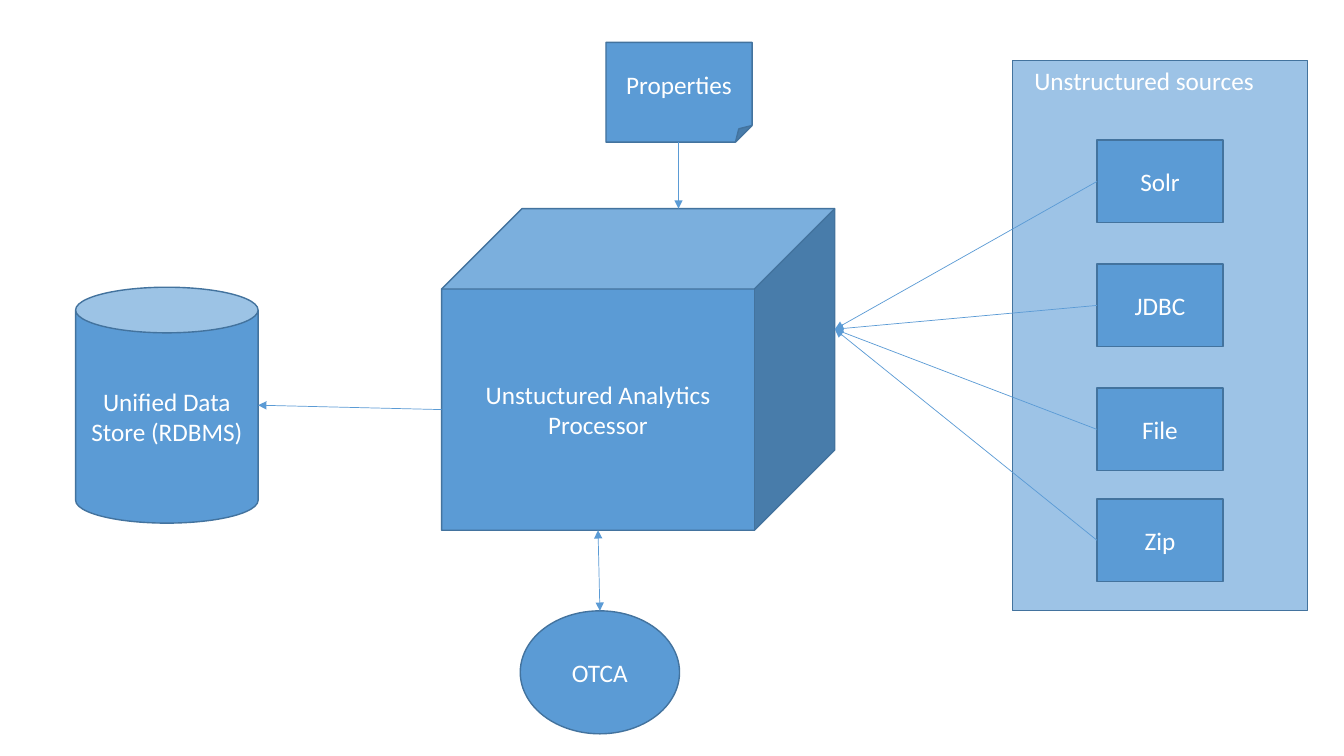
from lxml import etree
from pptx import Presentation
from pptx.dml.color import RGBColor
from pptx.enum import shapes, text
from pptx.oxml import ns
from pptx.util import Inches, Pt

BLUE = RGBColor(0x5B, 0x9B, 0xD5)
LIGHT_BLUE = RGBColor(0x9D, 0xC3, 0xE6)
EDGE = RGBColor(0x43, 0x73, 0x9E)
WHITE = RGBColor(0xFF, 0xFF, 0xFF)
SHAPE = shapes.MSO_SHAPE


def style_text(tf, label, align):
    tf.word_wrap = True
    tf.text = label
    p = tf.paragraphs[0]
    p.alignment = align
    font = p.runs[0].font
    font.name, font.size = "Calibri", Pt(18)
    font.color.rgb = WHITE


def add_node(slide, kind, x, y, w, h, label="", fill=BLUE):
    sp = slide.shapes.add_shape(kind, Inches(x), Inches(y), Inches(w), Inches(h))
    sp.shadow.inherit = False
    sp.fill.solid()
    sp.fill.fore_color.rgb = fill
    sp.line.color.rgb = EDGE
    sp.line.width = Pt(1)
    if label:
        sp.text_frame.vertical_anchor = text.MSO_ANCHOR.MIDDLE
        style_text(sp.text_frame, label, text.PP_ALIGN.CENTER)
    return sp


def add_arrow(slide, start, end, ends=("tailEnd",)):
    points = [Inches(v) for v in (*start, *end)]
    line = slide.shapes.add_connector(shapes.MSO_CONNECTOR.STRAIGHT, *points)
    line.line.color.rgb = BLUE
    line.line.width = Pt(0.5)
    ln = line.line._get_or_add_ln()
    for tag in ends:
        etree.SubElement(ln, ns.qn(f"a:{tag}"), type="triangle")
    etree.SubElement(line._element.spPr, ns.qn("a:effectLst"))


def add_core(slide, x, y, w, h):
    """Processor cube with its properties, data store and OTCA neighbours."""
    depth = min(w, h) / 4  # default depth of the cube
    front_x = x + (w - depth) / 2
    front_y = y + (h + depth) / 2

    # Data store on the left
    add_node(slide, SHAPE.CAN, x - 3.63, y + 0.78, 1.81, 2.34,
             "Unified Data Store (RDBMS)")
    add_node(slide, SHAPE.CUBE, x, y, w, h, "Unstuctured Analytics Processor")

    # Properties above
    add_node(slide, SHAPE.FOLDED_CORNER, x + 1.63, y - 1.65, 1.45, 0.99, "Properties")
    add_arrow(slide, (x + 2.35, y - 0.66), (x + 2.35, y))
    add_arrow(slide, (x, front_y), (x - 1.82, y + 1.95))

    # OTCA below
    add_node(slide, SHAPE.OVAL, x + 0.78, y + h + 0.8, 1.58, 1.22, "OTCA")
    add_arrow(slide, (front_x, y + h), (x + 1.57, y + h + 0.8),
              ends=("headEnd", "tailEnd"))

    # Point where the sources connect
    return x + w, y + (h - depth) / 2


def add_sources(slide, x, y, w, h, target):
    """Panel of sources, each with an arrow to the target point."""
    add_node(slide, SHAPE.RECTANGLE, x, y, w, h, fill=LIGHT_BLUE)
    box_x, box_w, box_h = x + 0.84, 1.25, 0.82
    offsets = {"Solr": 0.79, "JDBC": 2.02, "File": 3.25, "Zip": 4.35}
    for label, dy in offsets.items():
        add_node(slide, SHAPE.RECTANGLE, box_x, y + dy, box_w, box_h, label)
        add_arrow(slide, (box_x, y + dy + box_h / 2), target)

    # Panel heading
    heading = slide.shapes.add_textbox(
        Inches(x + 0.12), Inches(y), Inches(w - 0.12), Inches(0.4))
    style_text(heading.text_frame, "Unstructured sources", text.PP_ALIGN.LEFT)


def main():
    prs = Presentation()
    prs.slide_width, prs.slide_height = Inches(13.33), Inches(7.5)
    slide = prs.slides.add_slide(prs.slide_layouts[6])
    target = add_core(slide, 4.38, 2.07, 3.9, 3.19)
    add_sources(slide, 10.04, 0.6, 2.93, 5.46, target)
    prs.save("out.pptx")


if __name__ == "__main__":
    main()
